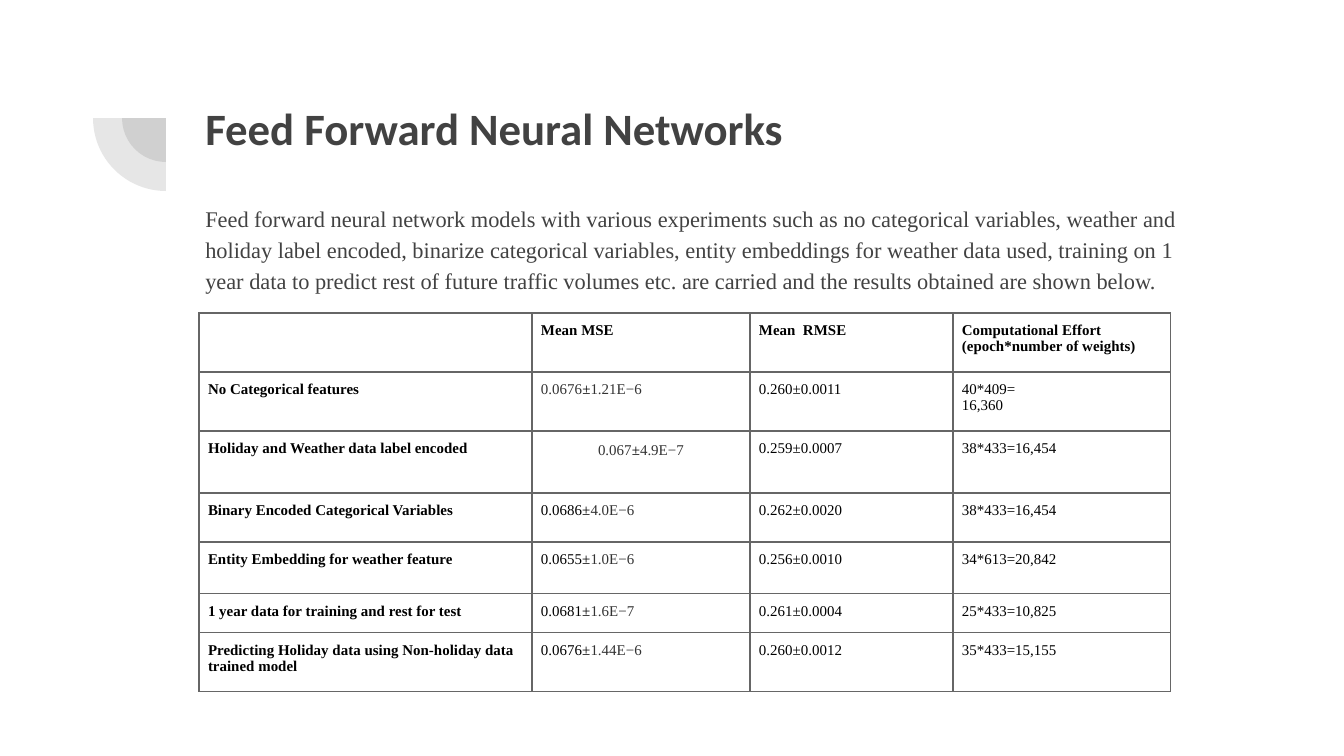
import pptx
import pptx.util
import pptx.dml.color
import pptx.enum.shapes
import pptx.enum.text
import pptx.oxml
import pptx.oxml.ns
from lxml import etree

COLORS = {"text": "424242", "cell": "000000", "value": "333333",
          "border": "666666", "back": "FFFFFF"}
SERIF = "Times New Roman"


def px(n):
    return pptx.util.Emu(round(n * 914400 / 134.4))


def rgb(name):
    return pptx.dml.color.RGBColor.from_string(COLORS[name])


class Deck:
    def __init__(self, width, height):
        self.prs = pptx.Presentation()
        self.prs.slide_width, self.prs.slide_height = px(width), px(height)
        self.s = self.prs.slides.add_slide(self.prs.slide_layouts[6])
        self.s.background.fill.solid()
        self.s.background.fill.fore_color.rgb = rgb("back")

    def style(self, r, size, color, font=SERIF, bold=False):
        r.font.size, r.font.name, r.font.bold = pptx.util.Pt(size), font, bold
        r.font.color.rgb = rgb(color)

    def quarter(self, cx, cy, radius):
        """Lower left quarter of a disc, mostly transparent."""
        sp = self.s.shapes.add_shape(
            pptx.enum.shapes.MSO_SHAPE.PIE,
            px(cx - radius), px(cy - radius), px(2 * radius), px(2 * radius))
        sp.adjustments[0], sp.adjustments[1] = 108, 162
        sp.rotation = 270
        sp.shadow.inherit = False
        sp.line.fill.background()
        sp.fill.solid()
        sp.fill.fore_color.rgb = rgb("text")
        clr = sp.fill._xPr.find(".//" + pptx.oxml.ns.qn("a:srgbClr"))
        etree.SubElement(clr, pptx.oxml.ns.qn("a:alpha"), val="13000")

    def text(self, x, y, w, h, text, size, font=SERIF, bold=False, spacing=1.0):
        tf = self.s.shapes.add_textbox(px(x), px(y), px(w), px(h)).text_frame
        tf.word_wrap = True
        tf.margin_left = tf.margin_right = pptx.util.Inches(0.1)
        tf.margin_top = tf.margin_bottom = pptx.util.Inches(0.1)
        tf.text = text
        p = tf.paragraphs[0]
        p.line_spacing = spacing
        self.style(p.runs[0], size, "text", font, bold)

    def border(self, cell):
        tcPr = cell._tc.get_or_add_tcPr()
        for i, side in enumerate(("lnL", "lnR", "lnT", "lnB")):
            tcPr.insert(i, pptx.oxml.parse_xml(
                f'<a:{side} {pptx.oxml.ns.nsdecls("a")} w="9525"><a:solidFill>'
                f'<a:srgbClr val="{COLORS["border"]}"/></a:solidFill></a:{side}>'))

    def cell(self, cell, text, bold):
        """Lines become paragraphs; parts between bars alternate in colour."""
        cell.margin_left = cell.margin_right = px(9)
        cell.margin_top = cell.margin_bottom = px(9)
        cell.fill.background()
        self.border(cell)
        cell.text_frame.text = text
        for p in cell.text_frame.paragraphs:
            parts = p.text.split("|")
            p.text = ""
            for i, part in enumerate(parts):
                if part:
                    r = p.add_run()
                    r.text = part
                    self.style(r, 8, ("cell", "value")[i % 2], bold=bold)

    def table(self, x, y, widths, heights, rows):
        table = self.s.shapes.add_table(
            len(rows), len(widths), px(x), px(y),
            px(sum(widths)), px(sum(heights))).table
        table.first_row = table.horz_banding = False
        for col, w in zip(table.columns, widths):
            col.width = px(w)
        for i, (row, h) in enumerate(zip(rows, heights)):
            table.rows[i].height = px(h)
            for j, text in enumerate(row):
                self.cell(table.cell(i, j), text, bold=i == 0 or j == 0)
        return table


ROWS = [
    ("", "Mean MSE", "Mean  RMSE", "Computational Effort\n(epoch*number of weights)"),
    ("No Categorical features", "|0.0676|±|1.21E−6", "0.260±0.0011", "40*409=\n16,360"),
    ("Holiday and Weather data label encoded", "|0.067|±|4.9E−7",
     "0.259±0.0007", "38*433=16,454"),
    ("Binary Encoded Categorical Variables", "0.0686±|4.0E−6",
     "0.262±0.0020", "38*433=16,454"),
    ("Entity Embedding for weather feature", "0.0655±|1.0E−6",
     "0.256±0.0010", "34*613=20,842"),
    ("1 year data for training and rest for test", "0.0681±|1.6E−7",
     "0.261±0.0004", "25*433=10,825"),
    ("Predicting Holiday data using Non-holiday data trained model",
     "0.0676±|1.44E−6", "0.260±0.0012", "35*433=15,155"),
]


def main():
    deck = Deck(1344, 756)

    # Corner ornament
    for radius in (44, 73):
        deck.quarter(166, 118, radius)

    # Title and introduction
    deck.text(192, 87, 1034, 146, "Feed Forward Neural Networks", 24, "Calibri", True)
    deck.text(192, 188, 1034, 112,
              "Feed forward neural network models with various experiments such as "
              "no categorical variables, weather and holiday label encoded, binarize "
              "categorical variables, entity embeddings for weather data used, "
              "training on 1 year data to predict rest of future traffic volumes etc. "
              "are carried and the results obtained are shown below.",
              12, spacing=1.15)

    # Results
    table = deck.table(199, 313, (333, 218, 203, 218),
                       (59, 59, 62, 49, 52, 39, 59), ROWS)
    p = table.cell(2, 1).text_frame.paragraphs[0]
    p.alignment = pptx.enum.text.PP_ALIGN.CENTER
    p.line_spacing = 1.15

    deck.prs.save("out.pptx")


if __name__ == "__main__":
    main()
